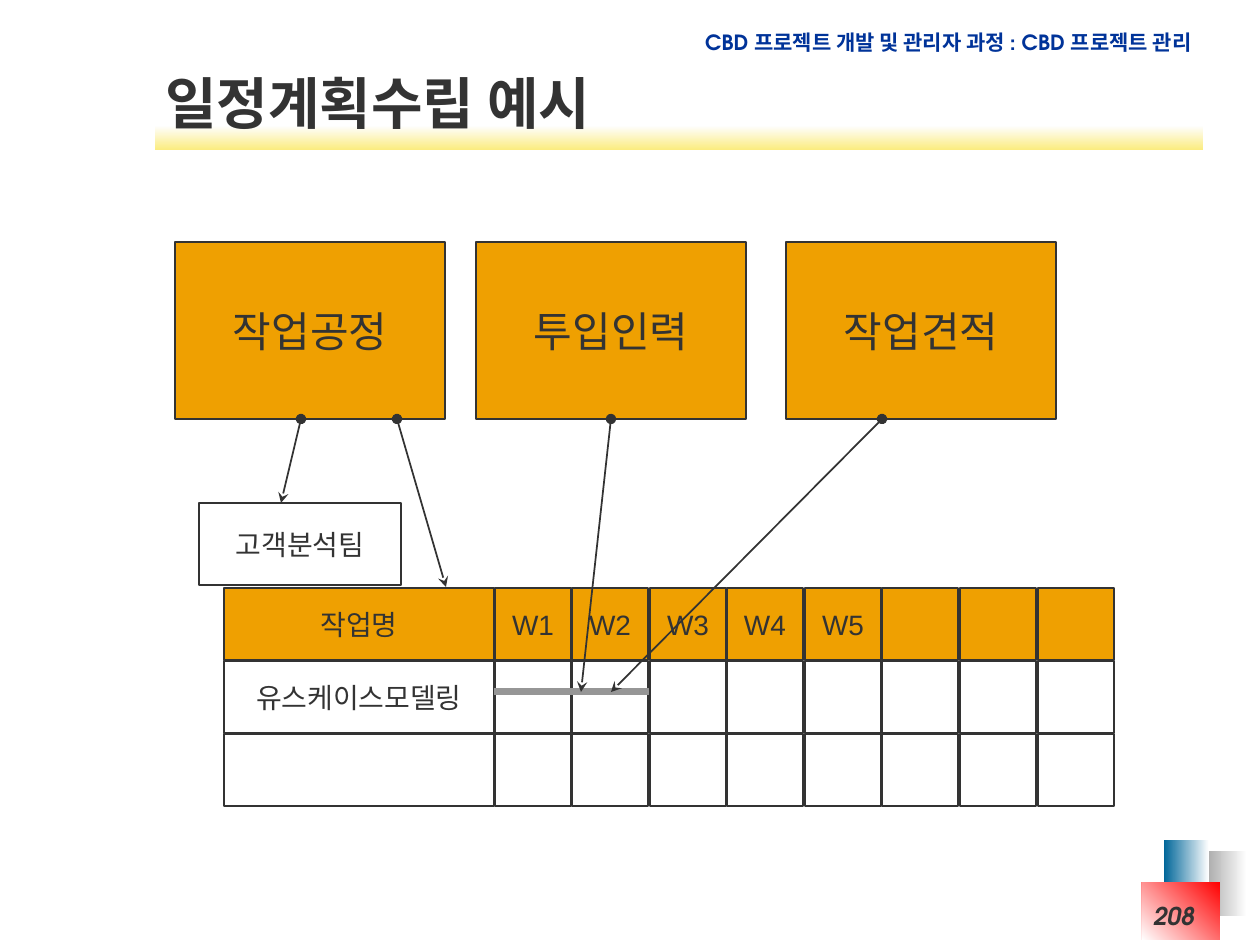
"""Build the schedule planning example slide."""
from lxml import etree
from pptx import Presentation
from pptx.dml.color import RGBColor
from pptx.enum.shapes import MSO_CONNECTOR, MSO_SHAPE
from pptx.enum.text import MSO_ANCHOR, MSO_AUTO_SIZE, PP_ALIGN
from pptx.oxml.ns import qn
from pptx.util import Pt

RECTANGLE = MSO_SHAPE.RECTANGLE
STRAIGHT = MSO_CONNECTOR.STRAIGHT
TOP, MIDDLE = MSO_ANCHOR.TOP, MSO_ANCHOR.MIDDLE
LEFT, CENTER, RIGHT = PP_ALIGN.LEFT, PP_ALIGN.CENTER, PP_ALIGN.RIGHT
NO_AUTOFIT = MSO_AUTO_SIZE.NONE
EMU_PER_PX = 914400 / 126
BOTTOM_SITE = 2
COLORS = {
    "ink": "333333", "orange": "EFA001", "white": "FFFFFF", "gray": "969696",
    "navy": "003399", "blue": "006699", "red": "FF0000",
    "pale": "FEFEFE", "yellow": "FBEC7F",
}
FONTS = {"body": "Arial", "title": "Noto Sans CJK KR", "accent": "TeX Gyre Adventor"}


def emu(*lengths):
    return [round(length * EMU_PER_PX) for length in lengths]


def color(key):
    return RGBColor.from_string(COLORS[key])


def apply(target, values):
    for name, value in values.items():
        setattr(target, name, value)


class SlideBuilder:
    def __init__(self, presentation):
        self.slide = presentation.slides.add_slide(presentation.slide_layouts[6])
        self.shapes = self.slide.shapes

    def fill_text(self, shape, text, size, font="body", ink="ink", align=CENTER,
                  anchor=MIDDLE, wrap=False, **style):
        frame = shape.text_frame
        apply(frame, {"word_wrap": wrap, "auto_size": NO_AUTOFIT,
                      "vertical_anchor": anchor})
        paragraph = frame.paragraphs[0]
        paragraph.alignment = align
        run = paragraph.add_run()
        run.text = text
        apply(run.font, {"size": Pt(size), "name": FONTS[font], **style})
        run.font.color.rgb = color(ink)

    def label(self, box, text, size, **style):
        textbox = self.shapes.add_textbox(*emu(*box))
        self.fill_text(textbox, text, size, wrap=True, **style)

    def rectangle(self, box):
        shape = self.shapes.add_shape(RECTANGLE, *emu(*box))
        shape.shadow.inherit = False
        return shape

    def box(self, box, fill, text="", size=16):
        shape = self.rectangle(box)
        shape.fill.solid()
        shape.fill.fore_color.rgb = color(fill)
        shape.line.color.rgb = color("ink")
        shape.line.width = Pt(1)
        if text:
            self.fill_text(shape, text, size)
        return shape

    def gradient(self, box, start, end, angle):
        shape = self.rectangle(box)
        shape.line.fill.background()
        shape.fill.gradient()
        shape.fill.gradient_angle = angle
        for stop, key in zip(shape.fill.gradient_stops, (start, end)):
            stop.color.rgb = color(key)

    def line(self, points, ink="ink", width=1):
        connector = self.shapes.add_connector(STRAIGHT, *emu(*points))
        connector.line.color.rgb = color(ink)
        connector.line.width = Pt(width)
        etree.SubElement(connector._element.spPr, qn("a:effectLst"))
        return connector

    def arrow(self, points, source=None):
        connector = self.line(points)
        outline = connector._element.spPr.find(qn("a:ln"))
        for tag, kind in (("a:headEnd", "oval"), ("a:tailEnd", "stealth")):
            etree.SubElement(outline, qn(tag), type=kind)
        if source is not None:
            connector.begin_connect(source, BOTTOM_SITE)


def add_frame(builder):
    builder.gradient((1197, 851, 50, 65), "white", "gray", 180)
    builder.gradient((1164, 840, 45, 65), "white", "blue", 180)
    builder.gradient((1142, 882, 78, 58), "red", "white", 225)
    builder.gradient((155, 126, 1048, 24), "pale", "yellow", 270)
    builder.label((680, 23, 524, 38), "CBD 프로젝트 개발 및 관리자 과정 : CBD 프로젝트 관리",
                  12, font="accent", ink="navy", align=RIGHT, anchor=TOP, bold=True)
    builder.label((153, 64, 1048, 77), "일정계획수립 예시", 32,
                  font="title", align=LEFT, bold=True)


def add_schedule(builder):
    rows = [
        ("orange", ["작업명", "W1", "W2", "W3", "W4", "W5", "", "", ""]),
        ("white", ["유스케이스모델링"] + [""] * 8),
        ("white", [""] * 9),
    ]
    columns = [(224, 270)] + [(495 + week * 543 // 7, 76) for week in range(8)]
    for row, (fill, texts) in enumerate(rows):
        for (left, width), text in zip(columns, texts):
            builder.box((left, 588 + row * 73, width, 72), fill, text)


def add_inputs(builder):
    inputs = {"작업공정": 175, "투입인력": 476, "작업견적": 786}
    boxes = {
        text: builder.box((left, 242, 270, 177), "orange", text, 24)
        for text, left in inputs.items()
    }
    builder.box((199, 503, 202, 82), "white", "고객분석팀")
    builder.line((494, 692, 649, 692), "gray", 4)
    builder.arrow((301, 419, 281, 503))
    builder.arrow((397, 419, 446, 587))
    builder.arrow((611, 419, 581, 692), boxes["투입인력"])
    builder.arrow((882, 419, 611, 692))


def main():
    presentation = Presentation()
    presentation.slide_width, presentation.slide_height = emu(1260, 945)
    builder = SlideBuilder(presentation)
    add_frame(builder)
    add_schedule(builder)
    add_inputs(builder)
    builder.label((1052, 895, 155, 50), "208", 14, font="accent",
                  align=RIGHT, anchor=TOP, bold=True, italic=True)
    presentation.save("out.pptx")


if __name__ == "__main__":
    main()
